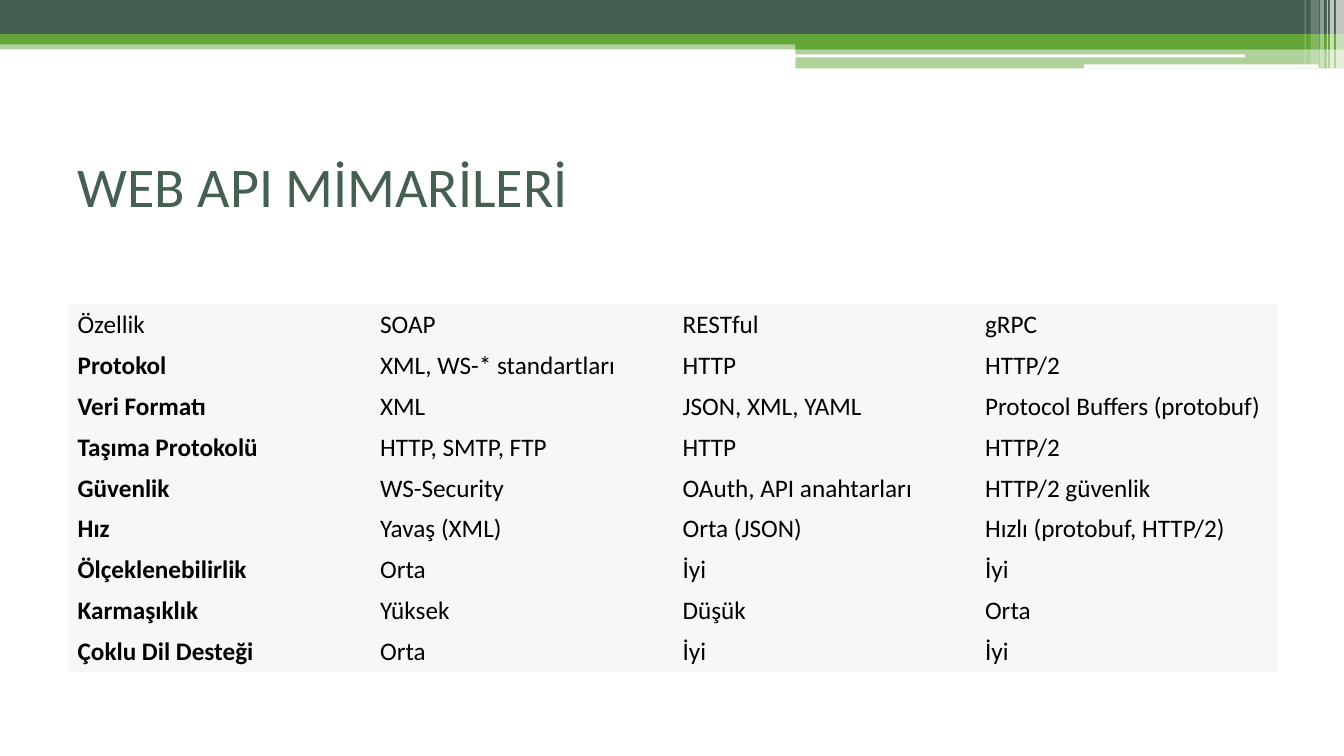
from lxml.etree import SubElement
from pptx import Presentation
from pptx.dml.color import RGBColor
from pptx.enum.shapes import MSO_SHAPE as Shape
from pptx.enum.text import MSO_ANCHOR as Anchor, PP_ALIGN as Align
from pptx.oxml.ns import qn
from pptx.util import Inches, Pt

FONT = "Calibri"
DARK, GREEN, WHITE, BLACK, PALE = "455F51", "63A537", "FFFFFF", "000000", "F7F7F7"
NO_STYLE = "{2D5ABB26-0587-4C30-8999-92F81FD0307C}"

BANDS = [
    (0, 0.4, 13.33, 0.09, GREEN, 50),
    (0, 0, 13.33, 0.34, DARK, 100),
    (0, 0.34, 13.33, 0.1, GREEN, 100),
    (7.89, 0.39, 5.44, 0.1, GREEN, 100),
    (7.89, 0.48, 5.44, 0.2, GREEN, 50),
]
SLOTS = [(7.88, 0.54, 4.47, 0.03), (10.75, 0.64, 2.33, 0.04)]
STRIPES = [
    (13.25, 0.08, 0.68, 65),
    (13.19, 0.04, 0.68, 65),
    (13.16, 0.01, 0.68, 60),
    (13.09, 0.04, 0.68, 40),
    (13, 0.08, 0.64, 20),
    (12.94, 0.01, 0.64, 30),
]
ROWS = [
    ("Özellik", "SOAP", "RESTful", "gRPC"),
    ("Protokol", "XML, WS-* standartları", "HTTP", "HTTP/2"),
    ("Veri Formatı", "XML", "JSON, XML, YAML", "Protocol Buffers (protobuf)"),
    ("Taşıma Protokolü", "HTTP, SMTP, FTP", "HTTP", "HTTP/2"),
    ("Güvenlik", "WS-Security", "OAuth, API anahtarları", "HTTP/2 güvenlik"),
    ("Hız", "Yavaş (XML)", "Orta (JSON)", "Hızlı (protobuf, HTTP/2)"),
    ("Ölçeklenebilirlik", "Orta", "İyi", "İyi"),
    ("Karmaşıklık", "Yüksek", "Düşük", "Orta"),
    ("Çoklu Dil Desteği", "Orta", "İyi", "İyi"),
]


def paint(target, color):
    target.solid()
    target.fore_color.rgb = RGBColor.from_string(color)


def write(para, text, size, color, bold=False):
    para.alignment = Align.LEFT
    span = para.add_run()
    span.text = text
    span.font.name = FONT
    span.font.size = Pt(size)
    span.font.bold = bold
    paint(span.font.fill, color)


def add_bar(page, box, color, opacity=100, kind=Shape.RECTANGLE):
    bar = page.shapes.add_shape(kind, *map(Inches, box))
    bar.shadow.inherit = False
    bar.line.fill.background()
    paint(bar.fill, color)
    if opacity < 100:
        tone = bar.fill._xPr.find(".//" + qn("a:srgbClr"))
        SubElement(tone, qn("a:alpha"), val=str(opacity * 1000))
    return bar


def add_header(page, left, top):
    for x, y, width, height, color, opacity in BANDS:
        add_bar(page, (left + x, top + y, width, height), color, opacity)
    for x, y, width, height in SLOTS:
        box = (left + x, top + y, width, height)
        add_bar(page, box, WHITE, kind=Shape.ROUNDED_RECTANGLE)
    for x, width, height, opacity in STRIPES:
        add_bar(page, (left + x, top, width, height), WHITE, opacity)


def add_title(page, left, top, width, height):
    title = page.shapes.title
    title.left, title.top = Inches(left), Inches(top)
    title.width, title.height = Inches(width), Inches(height)
    title.text_frame.word_wrap = True
    title.text_frame.vertical_anchor = Anchor.MIDDLE
    write(title.text_frame.paragraphs[0], "WEB API MİMARİLERİ", 40, DARK)


def add_comparison(page, left, top, width, height):
    box = map(Inches, (left, top, width, height))
    table = page.shapes.add_table(len(ROWS), len(ROWS[0]), *box).table
    table.first_row = table.horz_banding = False
    table._tbl.tblPr.find(qn("a:tableStyleId")).text = NO_STYLE
    for r, row in enumerate(ROWS):
        for c, text in enumerate(row):
            cell = table.cell(r, c)
            cell.vertical_anchor = Anchor.MIDDLE
            paint(cell.fill, PALE)
            para = cell.text_frame.paragraphs[0]
            write(para, text, 18, BLACK, bold=r > 0 and c == 0)


def main():
    deck = Presentation()
    deck.slide_width, deck.slide_height = Inches(13.33), Inches(7.5)
    page = deck.slides.add_slide(deck.slide_layouts[5])
    paint(page.background.fill, WHITE)
    add_header(page, 0, 0)
    add_title(page, 0.67, 1.25, 12, 1.17)
    add_comparison(page, 0.67, 3.02, 12, 3.6)
    deck.save("out.pptx")


if __name__ == "__main__":
    main()
